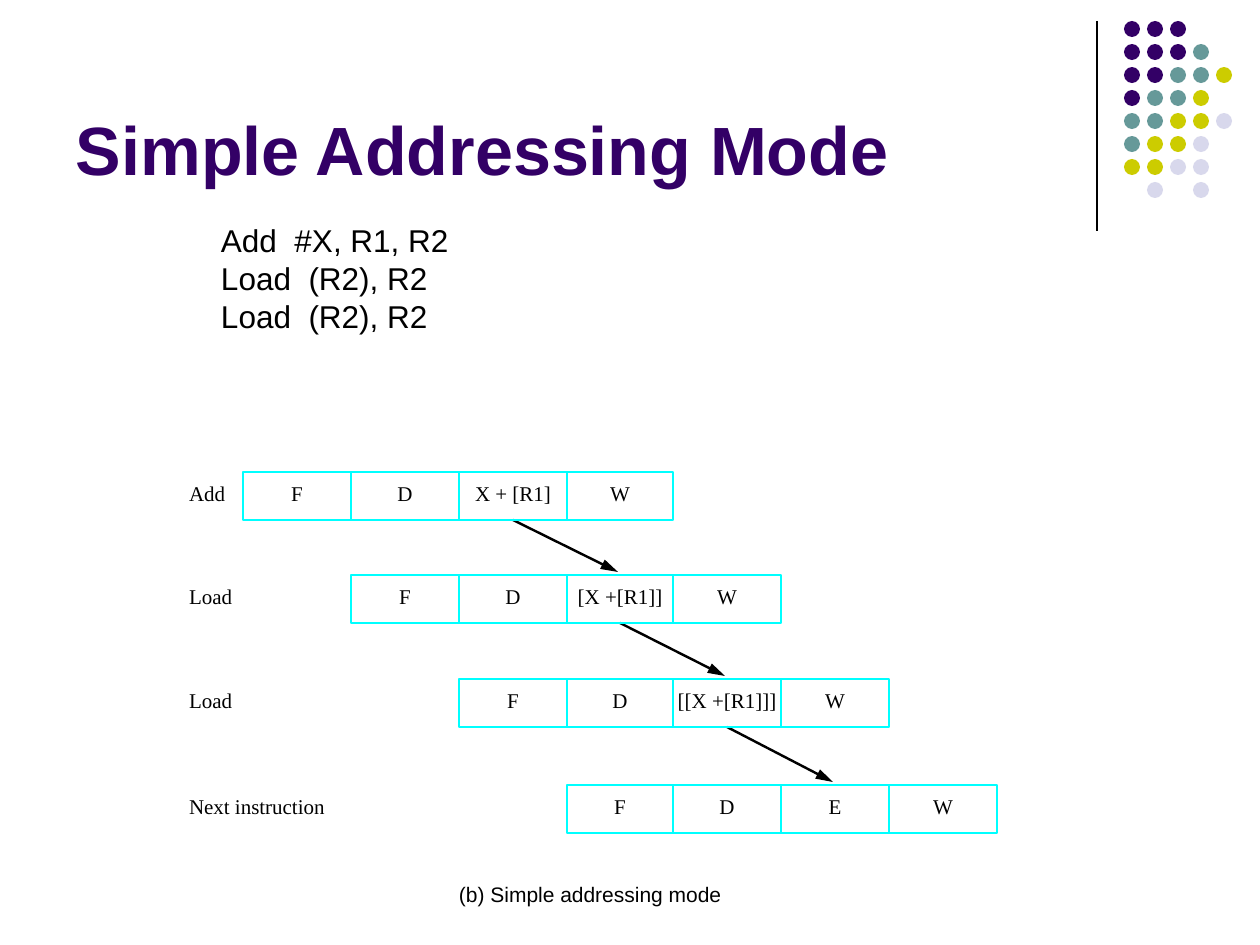
from lxml import etree
from pptx import Presentation
from pptx.dml.color import RGBColor
from pptx.enum.shapes import MSO_CONNECTOR, MSO_SHAPE
from pptx.enum.text import MSO_ANCHOR, PP_ALIGN
from pptx.oxml.ns import qn
from pptx.util import Pt

EMU_PER_PX = 914400 / 126
RECTANGLE, OVAL = MSO_SHAPE.RECTANGLE, MSO_SHAPE.OVAL
STRAIGHT = MSO_CONNECTOR.STRAIGHT
LEFT, CENTER = PP_ALIGN.LEFT, PP_ALIGN.CENTER
TOP, MIDDLE, BOTTOM = MSO_ANCHOR.TOP, MSO_ANCHOR.MIDDLE, MSO_ANCHOR.BOTTOM

BLACK = RGBColor(0x00, 0x00, 0x00)
PURPLE = RGBColor(0x33, 0x00, 0x66)
TEAL = RGBColor(0x66, 0x99, 0x99)
OLIVE = RGBColor(0xCC, 0xCC, 0x00)
LAVENDER = RGBColor(0xD8, 0xD8, 0xEC)
CYAN = RGBColor(0x00, 0xFF, 0xFF)

DOT_COLORS = {"P": PURPLE, "T": TEAL, "O": OLIVE, "L": LAVENDER}
DOT_ROWS = ["PPP", "PPPT", "PPTTO", "PTTO", "TTOOL", "TOOL", "OOLL", " L L"]
DOT_SIZE, DOT_PITCH = 16, 23

COLUMN_EDGES = [54, 162, 270, 378, 484, 592, 700, 808]
ROW_TOPS = [0, 103, 207, 313]
CELL_HEIGHT = 48
TEXT_LIFT = 5
EXECUTE_COLUMN = 2
STAGES = [
    ("Add", ["F", "D", "X + [R1]", "W"]),
    ("Load", ["F", "D", "[X +[R1]]", "W"]),
    ("Load", ["F", "D", "[[X +[R1]]]", "W"]),
    ("Next instruction", ["F", "D", "E", "W"]),
]


def px(*lengths):
    """Turn pixel lengths into a list of EMU."""
    return [round(length * EMU_PER_PX) for length in lengths]


def write_text(shape, text, size=12, font="Times New Roman", color=BLACK,
               bold=False, align=LEFT, anchor=TOP, lift=0):
    """Fill a shape with formatted text, one paragraph a line."""
    frame = shape.text_frame
    frame.word_wrap = False
    frame.vertical_anchor = anchor
    frame.margin_left = frame.margin_right = frame.margin_top = 0
    frame.margin_bottom = px(lift)[0]
    frame.text = text
    for paragraph in frame.paragraphs:
        paragraph.alignment = align
        paragraph.font.size = Pt(size)
        paragraph.font.name = font
        paragraph.font.bold = bold
        paragraph.font.color.rgb = color


def add_text(slide, box, text, **text_format):
    """Add a text box with formatted text."""
    write_text(slide.shapes.add_textbox(*px(*box)), text, **text_format)


def add_line(slide, start, end, width, arrow=False):
    """Add a straight black line, with an arrowhead at its end if asked."""
    line = slide.shapes.add_connector(STRAIGHT, *px(*start, *end))
    line.line.color.rgb = BLACK
    line.line.width = Pt(width)
    properties = line._element.spPr
    if arrow:
        etree.SubElement(properties.find(qn("a:ln")), qn("a:tailEnd"),
                         type="triangle", w="med", len="lg")
    etree.SubElement(properties, qn("a:effectLst"))


def add_cell(slide, box, text):
    """Add one outlined pipeline stage with its label."""
    cell = slide.shapes.add_shape(RECTANGLE, *px(*box))
    cell.shadow.inherit = False
    cell.fill.background()
    cell.line.color.rgb = CYAN
    cell.line.width = Pt(1.39)
    write_text(cell, text, align=CENTER, anchor=MIDDLE, lift=TEXT_LIFT)


def add_ornament(slide, box):
    """Add the vertical rule and the grid of dots in the corner."""
    left, top, width, height = box
    add_line(slide, (left, top), (left, top + height), 0.75)
    first_left = left + width - DOT_SIZE - 4 * DOT_PITCH
    group = slide.shapes.add_group_shape()
    for row, codes in enumerate(DOT_ROWS):
        for column, code in enumerate(codes):
            if code in DOT_COLORS:
                dot = group.shapes.add_shape(OVAL, *px(
                    first_left + column * DOT_PITCH, top + row * DOT_PITCH,
                    DOT_SIZE, DOT_SIZE))
                dot.shadow.inherit = False
                dot.fill.solid()
                dot.fill.fore_color.rgb = DOT_COLORS[code]
                dot.line.fill.background()


def add_pipeline(slide, box):
    """Add the staggered instruction rows, their arrows and the caption."""
    left, top, width, height = box
    edges = [left + edge for edge in COLUMN_EDGES]
    tops = [top + row_top for row_top in ROW_TOPS]
    centers = [(edges[i] + edges[i + 1]) // 2 for i in range(len(edges) - 1)]
    for row in range(len(tops) - 1):
        column = row + EXECUTE_COLUMN
        add_line(slide, (centers[column], tops[row] + CELL_HEIGHT),
                 (centers[column + 1] - 2, tops[row + 1] - 3), 1.39, arrow=True)
    for row, (label, stages) in enumerate(STAGES):
        add_text(slide, (left, tops[row], 160, CELL_HEIGHT), label,
                 anchor=MIDDLE, lift=TEXT_LIFT)
        for column, stage in enumerate(stages, start=row):
            add_cell(slide, (edges[column], tops[row],
                             edges[column + 1] - edges[column], CELL_HEIGHT), stage)
    add_text(slide, (edges[2], top + height - 25, 300, 25),
             "(b) Simple addressing mode", font="Arial")


def build_slide(presentation):
    """Add the slide with its title, code, diagram and ornament."""
    slide = presentation.slides.add_slide(presentation.slide_layouts[6])
    add_ornament(slide, (1097, 21, 135, 210))
    add_text(slide, (76, 22, 1014, 167), "Simple Addressing Mode", size=39,
             font="Arial", color=PURPLE, bold=True, anchor=BOTTOM)
    add_pipeline(slide, (189, 472, 808, 435))
    add_text(slide, (221, 221, 260, 114),
             "Add  #X, R1, R2\nLoad  (R2), R2\nLoad  (R2), R2", size=18, font="Arial")


def main():
    """Build and save the presentation."""
    presentation = Presentation()
    presentation.slide_width, presentation.slide_height = px(1260, 945)
    build_slide(presentation)
    presentation.save("out.pptx")


if __name__ == "__main__":
    main()
